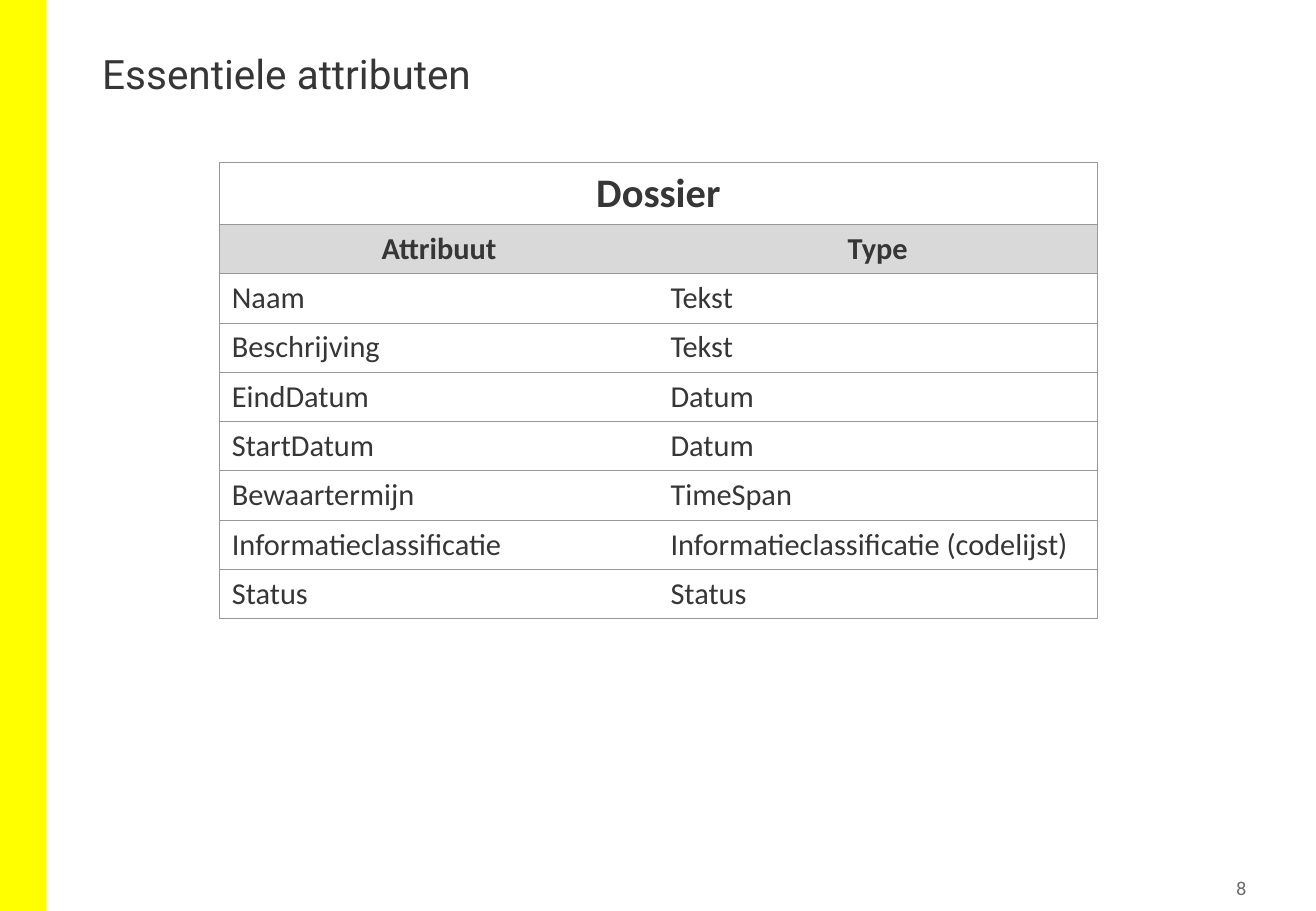
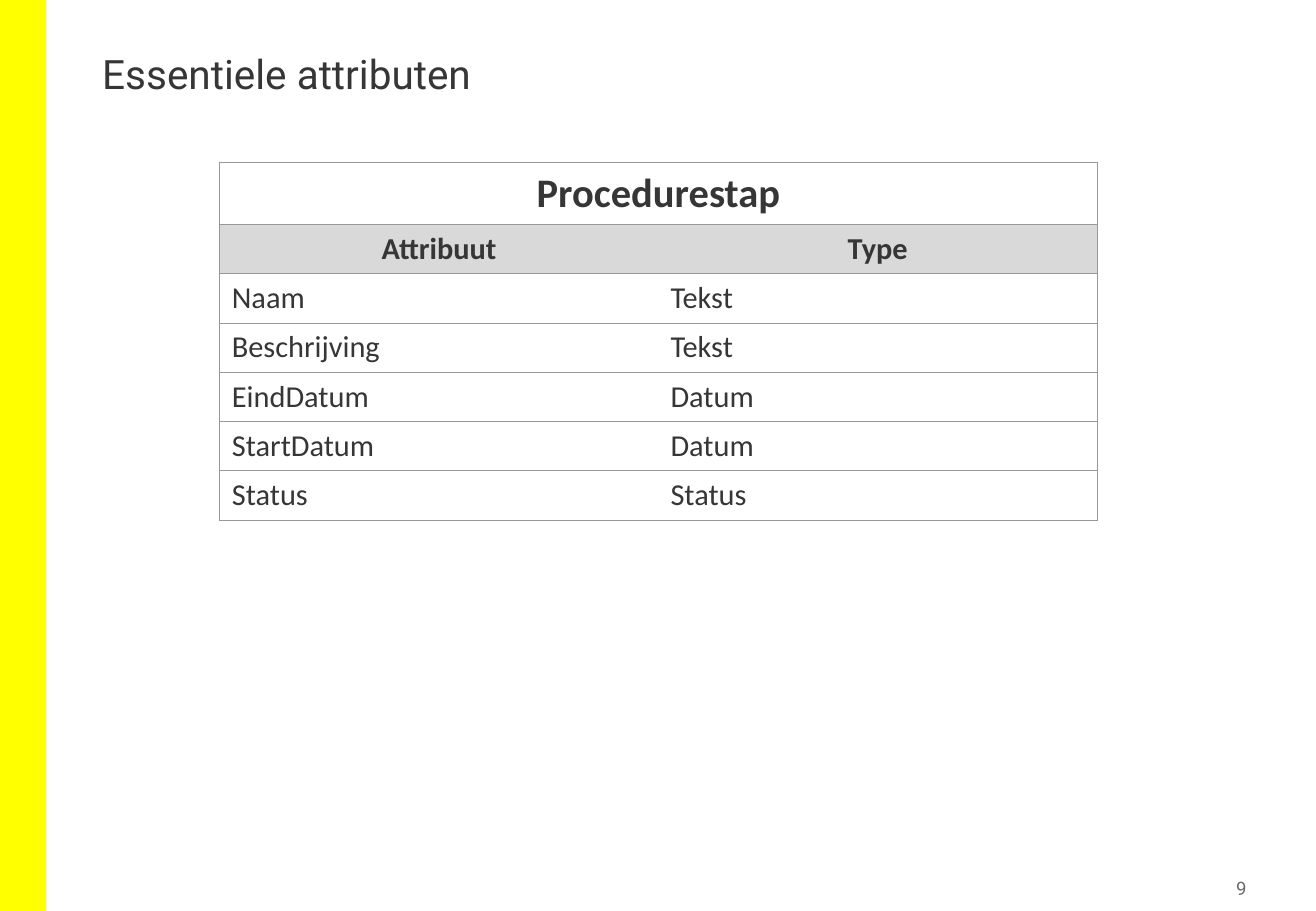
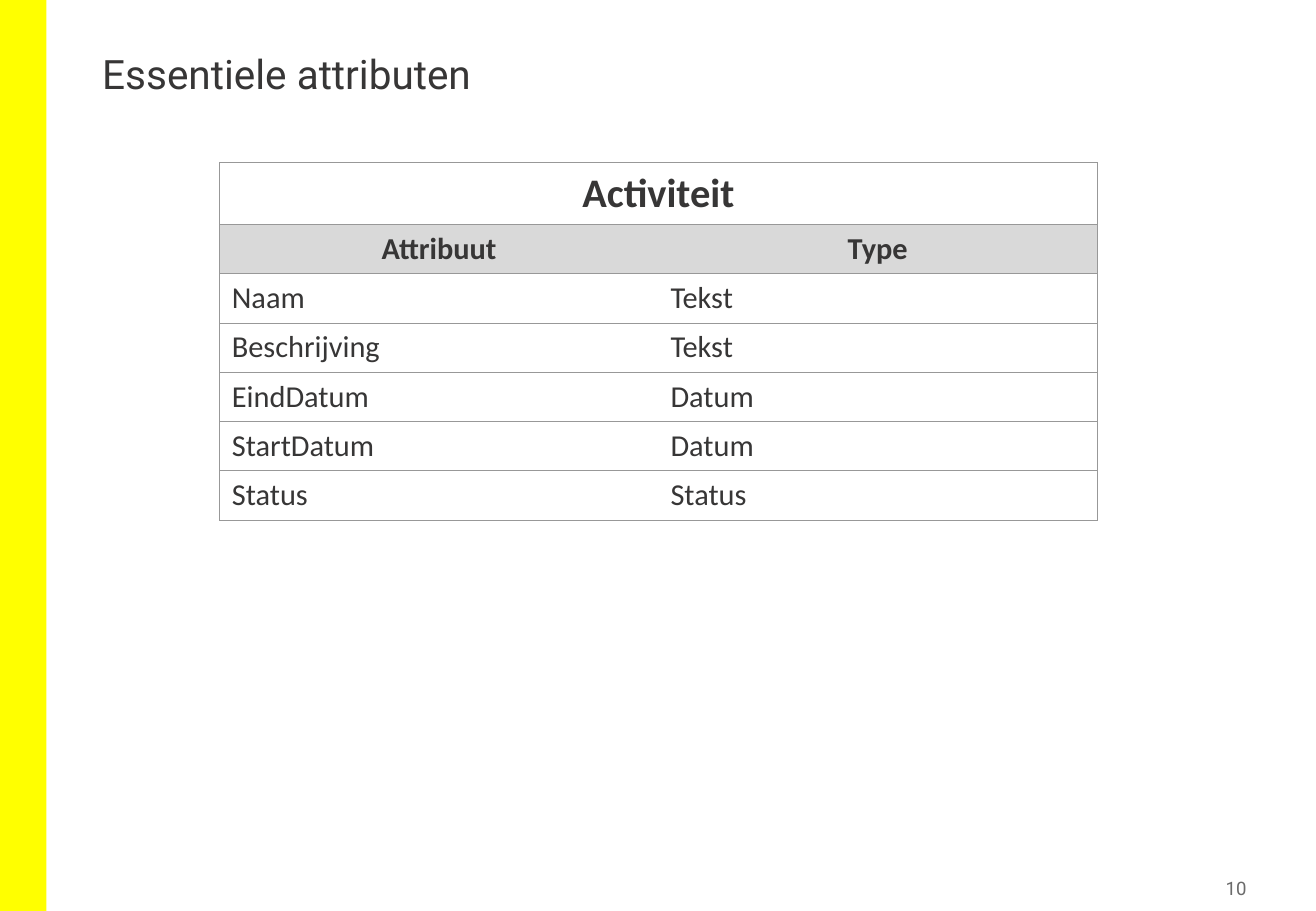
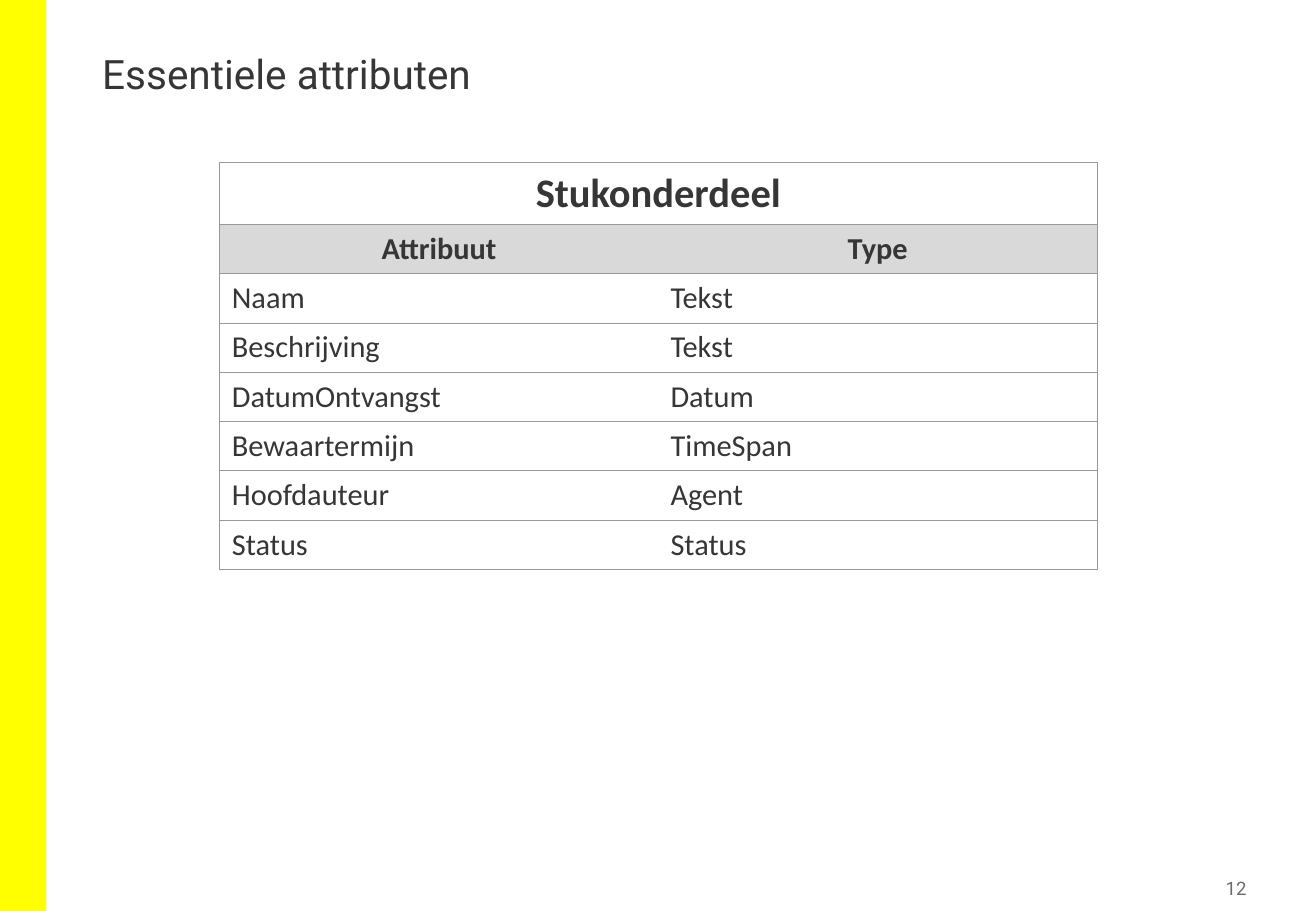
import pptx
import pptx.util
import pptx.dml.color
import pptx.enum.shapes
import pptx.enum.text
import pptx.oxml
import pptx.oxml.ns

Pt = pptx.util.Pt
ALIGN = pptx.enum.text.PP_ALIGN
ANCHOR = pptx.enum.text.MSO_ANCHOR

COLORS = {
    "band": "FFFF00",
    "text": "373636",
    "number": "6B6B6B",
    "header": "D9D9D9",
    "cell": "FFFFFF",
    "border": "989898",
}

# Boxes in points: left, top, width, height
PAGE_WIDTH, PAGE_HEIGHT = 780, 540
BAND_BOX = (0, 0, 27.5, PAGE_HEIGHT)
TITLE_BOX = (53.5, 28.8, 325, 77.8)
NUMBER_BOX = (684, 516, 58.5, 21)
TABLE_BOX = (130.25, 96.5, 520)  # height follows from the rows
HEADING_HEIGHT, ROW_HEIGHT = 36.5, 29.25
BORDER_WIDTH = 0.5

# Text formats
TITLE = {"size": Pt(24), "name": "Roboto", "color": "text"}
NUMBER = {"size": Pt(11), "name": "Roboto", "color": "number"}
BODY = {"size": Pt(18), "name": "Calibri", "color": "text", "bold": False}
HEADER = {**BODY, "bold": True}
HEADING = {**HEADER, "size": Pt(24)}

TITLE_TEXT = "Essentiele attributen"
COLUMN_NAMES = ("Attribuut", "Type")
NAMING = [("Naam", "Tekst"), ("Beschrijving", "Tekst")]
PERIOD = [("EindDatum", "Datum"), ("StartDatum", "Datum")]
RETENTION = [("Bewaartermijn", "TimeSpan")]
STATUS = [("Status", "Status")]

# Page number, entity, attributes with their types
PAGES = [
    (8, "Dossier", NAMING + PERIOD + RETENTION + [
        ("Informatieclassificatie", "Informatieclassificatie (codelijst)"),
    ] + STATUS),
    (9, "Procedurestap", NAMING + PERIOD + STATUS),
    (10, "Activiteit", NAMING + PERIOD + STATUS),
    (12, "Stukonderdeel", NAMING + [("DatumOntvangst", "Datum")] + RETENTION
     + [("Hoofdauteur", "Agent")] + STATUS),
]


def rgb(name):
    return pptx.dml.color.RGBColor.from_string(COLORS[name])


def write(frame, text, style, align=ALIGN.LEFT):
    para = frame.paragraphs[0]
    para.alignment = align
    span = para.add_run()
    span.text = text
    for key, value in style.items():
        if key == "color":
            span.font.color.rgb = rgb(value)
        else:
            setattr(span.font, key, value)
    return para


def add_band(page, box):
    band = page.shapes.add_shape(
        pptx.enum.shapes.MSO_SHAPE.RECTANGLE, *map(Pt, box))
    band.shadow.inherit = False
    band.fill.solid()
    band.fill.fore_color.rgb = rgb("band")
    band.line.fill.background()


def add_title(page, box, text):
    frame = page.shapes.add_textbox(*map(Pt, box)).text_frame
    frame.word_wrap = True
    write(frame, text, TITLE).line_spacing = 0.9


def add_page_number(page, box, number):
    frame = page.shapes.add_textbox(*map(Pt, box)).text_frame
    settings = {"word_wrap": True, "vertical_anchor": ANCHOR.MIDDLE}
    settings.update({f"margin_{side}": Pt(3.6)
                     for side in ("left", "top", "right", "bottom")})
    for key, value in settings.items():
        setattr(frame, key, value)
    write(frame, str(number), NUMBER, ALIGN.RIGHT)


def set_borders(cell, visible):
    """Draw the given sides (out of L, R, T, B) and clear the others."""
    properties = cell._tc.get_or_add_tcPr()
    for index, side in enumerate("LRTB"):
        paint = "<a:noFill/>"
        if side in visible:
            paint = (f'<a:solidFill><a:srgbClr val="{COLORS["border"]}"/>'
                     "</a:solidFill>")
        line = pptx.oxml.parse_xml(
            f'<a:ln{side} {pptx.oxml.ns.nsdecls("a")} '
            f'w="{int(Pt(BORDER_WIDTH))}">{paint}</a:ln{side}>')
        properties.insert(index, line)


def fill_cell(cell, fill, borders):
    cell.fill.solid()
    cell.fill.fore_color.rgb = rgb(fill)
    set_borders(cell, borders)


def add_attribute_table(page, box, entity, attributes):
    left, top, width = box
    rows = [(entity, ""), COLUMN_NAMES, *attributes]
    heights = [HEADING_HEIGHT] + [ROW_HEIGHT] * (len(rows) - 1)
    table = page.shapes.add_table(
        len(rows), 2, Pt(left), Pt(top), Pt(width), Pt(sum(heights))).table
    table.first_row = table.horz_banding = False
    for column in table.columns:
        column.width = Pt(width / 2)

    # Heading over both columns, column names, then the attributes
    styles = {0: (HEADING, ALIGN.CENTER, "cell"),
              1: (HEADER, ALIGN.CENTER, "header")}
    for row, (texts, height) in enumerate(zip(rows, heights)):
        table.rows[row].height = Pt(height)
        style, align, fill = styles.get(row, (BODY, ALIGN.LEFT, "cell"))
        for column, (text, outer) in enumerate(zip(texts, "LR")):
            cell = table.cell(row, column)
            fill_cell(cell, fill, "LRTB" if row == 0 else outer + "TB")
            if text:
                write(cell.text_frame, text, style, align)
    table.cell(0, 0).merge(table.cell(0, 1))


def add_page(deck, number, entity, attributes):
    page = deck.slides.add_slide(deck.slide_layouts[6])
    add_band(page, BAND_BOX)
    add_title(page, TITLE_BOX, TITLE_TEXT)
    add_page_number(page, NUMBER_BOX, number)
    add_attribute_table(page, TABLE_BOX, entity, attributes)


def main():
    deck = pptx.Presentation()
    deck.slide_width, deck.slide_height = Pt(PAGE_WIDTH), Pt(PAGE_HEIGHT)
    for number, entity, attributes in PAGES:
        add_page(deck, number, entity, attributes)
    deck.save("out.pptx")


if __name__ == "__main__":
    main()
